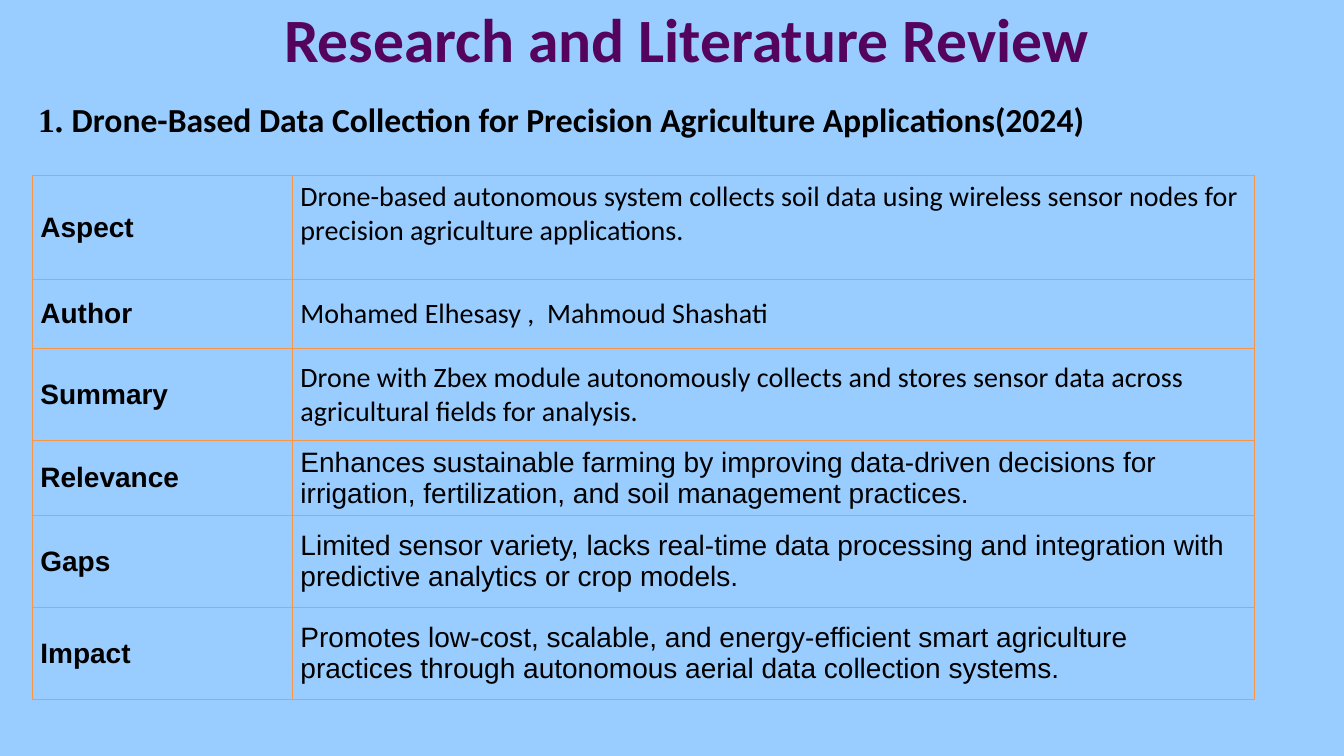
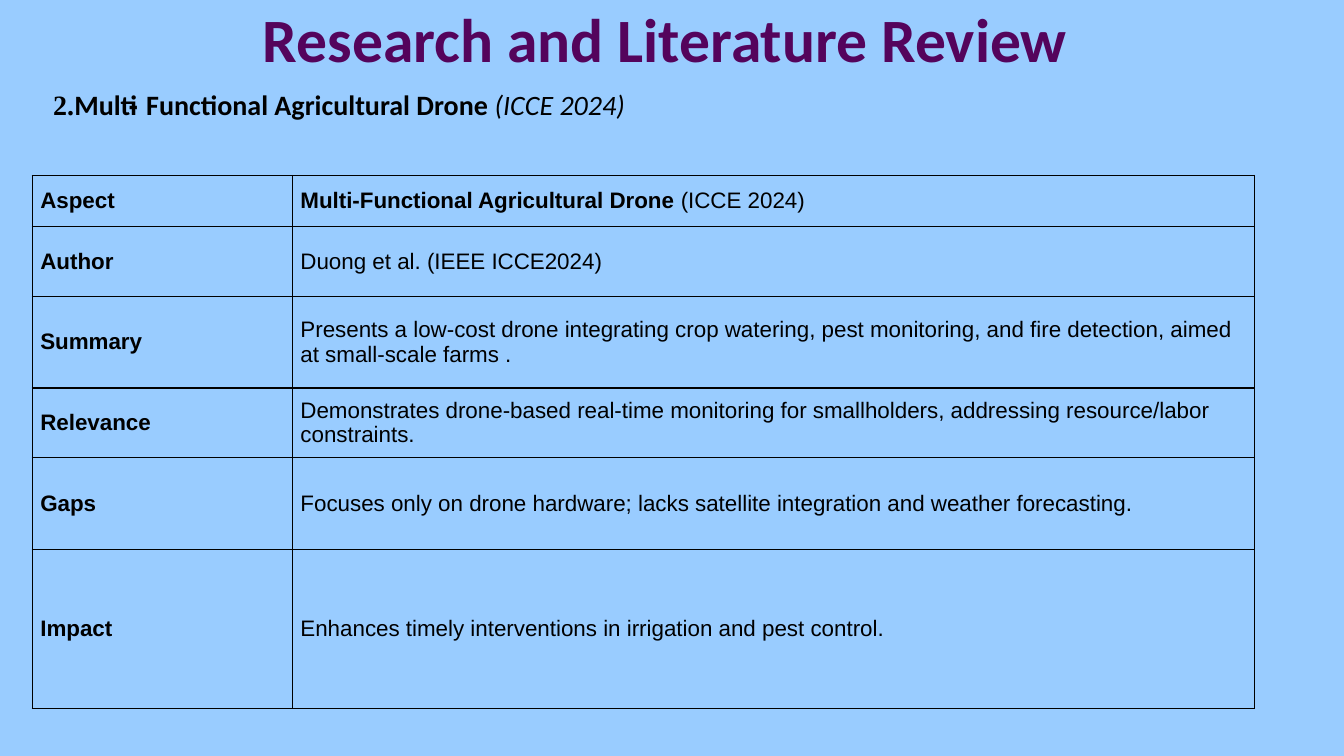
"""Build two literature review slides, each with a heading and a summary table."""
from dataclasses import dataclass

from lxml import etree
from pptx import Presentation
from pptx.dml.color import RGBColor
from pptx.enum.text import MSO_ANCHOR, PP_ALIGN
from pptx.oxml.ns import qn
from pptx.util import Inches, Pt

MIDDLE, TOP = MSO_ANCHOR.MIDDLE, MSO_ANCHOR.TOP
LEFT, CENTER = PP_ALIGN.LEFT, PP_ALIGN.CENTER


@dataclass(frozen=True)
class Theme:
    background: str = "99CCFF"
    title: str = "54045C"
    ink: str = "000000"
    orange: str = "F79646"
    sans: str = "Arial"
    heading: str = "Calibri"
    serif: str = "Times New Roman"
    title_size: int = 44
    border_width: int = 1


THEME = Theme()
TITLE = "Research and Literature Review "
LABELS = ["Aspect", "Author", "Summary", "Relevance", "Gaps", "Impact"]
COLUMN_WIDTHS = [2.58, 9.54]
TABLE_LEFT, TABLE_TOP = 0.32, 1.74
BOX_WIDTH = 12

REVIEWS = [
    {
        "title_left": 0.88,
        "heading_at": (0.28, 0.96),
        "heading_size": 24,
        "heading": [
            ("1. ", THEME.serif, True, False),
            ("Drone-Based Data Collection for Precision Agriculture Applications(2024)",
             THEME.heading, True, False),
        ],
        "border": THEME.orange,
        "table_size": 20,
        "row_heights": [1.03, 0.69, 0.91, 0.69, 0.91, 0.91],
        "first_anchor": TOP,
        "entries": [
            [("Drone-based autonomous system collects soil data using wireless sensor nodes "
              "for precision agriculture applications.", THEME.heading, False, False)],
            [("Mohamed Elhesasy ,  Mahmoud Shashati", THEME.heading, False, False)],
            [("Drone with Zbex module autonomously collects and stores sensor data across "
              "agricultural fields for analysis.", THEME.heading, False, False)],
            [("Enhances sustainable farming by improving data-driven decisions for irrigation, "
              "fertilization, and soil management practices.", THEME.sans, False, False)],
            [("Limited sensor variety, lacks real-time data processing and integration with "
              "predictive analytics or crop models.", THEME.sans, False, False)],
            [("Promotes low-cost, scalable, and energy-efficient smart agriculture practices "
              "through autonomous aerial data collection systems.", THEME.sans, False, False)],
        ],
    },
    {
        "title_left": 0.67,
        "heading_at": (0.43, 0.81),
        "heading_size": 20,
        "heading": [
            ("2.", THEME.serif, True, False),
            ("Multi‑Functional Agricultural Drone ", THEME.heading, True, False),
            ("(ICCE 2024)", THEME.heading, False, True),
        ],
        "border": THEME.ink,
        "table_size": 16,
        "row_heights": [0.51, 0.69, 0.91, 0.69, 0.91, 1.58],
        "first_anchor": MIDDLE,
        "entries": [
            [("Multi‑Functional Agricultural Drone", THEME.sans, True, False),
             (" (ICCE 2024)", THEME.sans, False, False)],
            [("Duong et al. (IEEE ICCE2024)", THEME.sans, False, False)],
            [("Presents a low-cost drone integrating crop watering, pest monitoring, and fire "
              "detection, aimed at small-scale farms .", THEME.sans, False, False)],
            [("Demonstrates drone-based real-time monitoring for smallholders, addressing "
              "resource/labor constraints.", THEME.sans, False, False)],
            [("Focuses only on drone hardware; lacks satellite integration and weather "
              "forecasting.", THEME.sans, False, False)],
            [("Enhances timely interventions in irrigation and pest control.",
              THEME.sans, False, False)],
        ],
    },
]


def write_spans(frame, spans, size, color=THEME.ink, align=LEFT):
    para = frame.paragraphs[0]
    para.alignment = align
    for text, font_name, bold, italic in spans:
        span = para.add_run()
        span.text = text
        font = span.font
        font.name, font.size = font_name, Pt(size)
        font.bold, font.italic = bold, italic
        font.color.rgb = RGBColor.from_string(color)


def add_text(slide, left, top, height, spans, size, **style):
    box = slide.shapes.add_textbox(
        Inches(left), Inches(top), Inches(BOX_WIDTH), Inches(height))
    frame = box.text_frame
    frame.word_wrap = True
    frame.vertical_anchor = MIDDLE
    write_spans(frame, spans, size, **style)


def set_borders(cell, color):
    properties = cell._tc.get_or_add_tcPr()
    for position, side in enumerate(("a:lnL", "a:lnR", "a:lnT", "a:lnB")):
        line = etree.Element(qn(side), w=str(Pt(THEME.border_width)))
        fill = etree.SubElement(line, qn("a:solidFill"))
        etree.SubElement(fill, qn("a:srgbClr"), val=color)
        properties.insert(position, line)


def fill_cell(cell, spans, size, border, anchor=MIDDLE):
    cell.margin_left = cell.margin_right = Inches(0.08)
    cell.margin_top = cell.margin_bottom = Inches(0.04)
    cell.vertical_anchor = anchor
    cell.fill.background()
    set_borders(cell, border)
    write_spans(cell.text_frame, spans, size)


def add_review_table(slide, review):
    heights = review["row_heights"]
    table = slide.shapes.add_table(
        len(LABELS), len(COLUMN_WIDTHS), Inches(TABLE_LEFT), Inches(TABLE_TOP),
        Inches(sum(COLUMN_WIDTHS)), Inches(sum(heights))).table
    table.first_row = table.horz_banding = False
    for column, width in zip(table.columns, COLUMN_WIDTHS):
        column.width = Inches(width)
    size, border = review["table_size"], review["border"]
    for index, (label, entry) in enumerate(zip(LABELS, review["entries"])):
        table.rows[index].height = Inches(heights[index])
        anchor = review["first_anchor"] if index == 0 else MIDDLE
        fill_cell(table.cell(index, 0), [(label, THEME.sans, True, False)], size, border)
        fill_cell(table.cell(index, 1), entry, size, border, anchor)


def add_review(deck, review):
    slide = deck.slides.add_slide(deck.slide_layouts[6])
    add_text(slide, review["title_left"], 0, 0.75,
             [(TITLE, THEME.heading, True, False)], THEME.title_size,
             color=THEME.title, align=CENTER)
    left, top = review["heading_at"]
    add_text(slide, left, top, 0.45, review["heading"], review["heading_size"])
    add_review_table(slide, review)


def main():
    deck = Presentation()
    deck.slide_width, deck.slide_height = Inches(13.33), Inches(7.5)
    fill = deck.slide_master.background.fill
    fill.solid()
    fill.fore_color.rgb = RGBColor.from_string(THEME.background)
    for review in REVIEWS:
        add_review(deck, review)
    deck.save("out.pptx")


if __name__ == "__main__":
    main()
